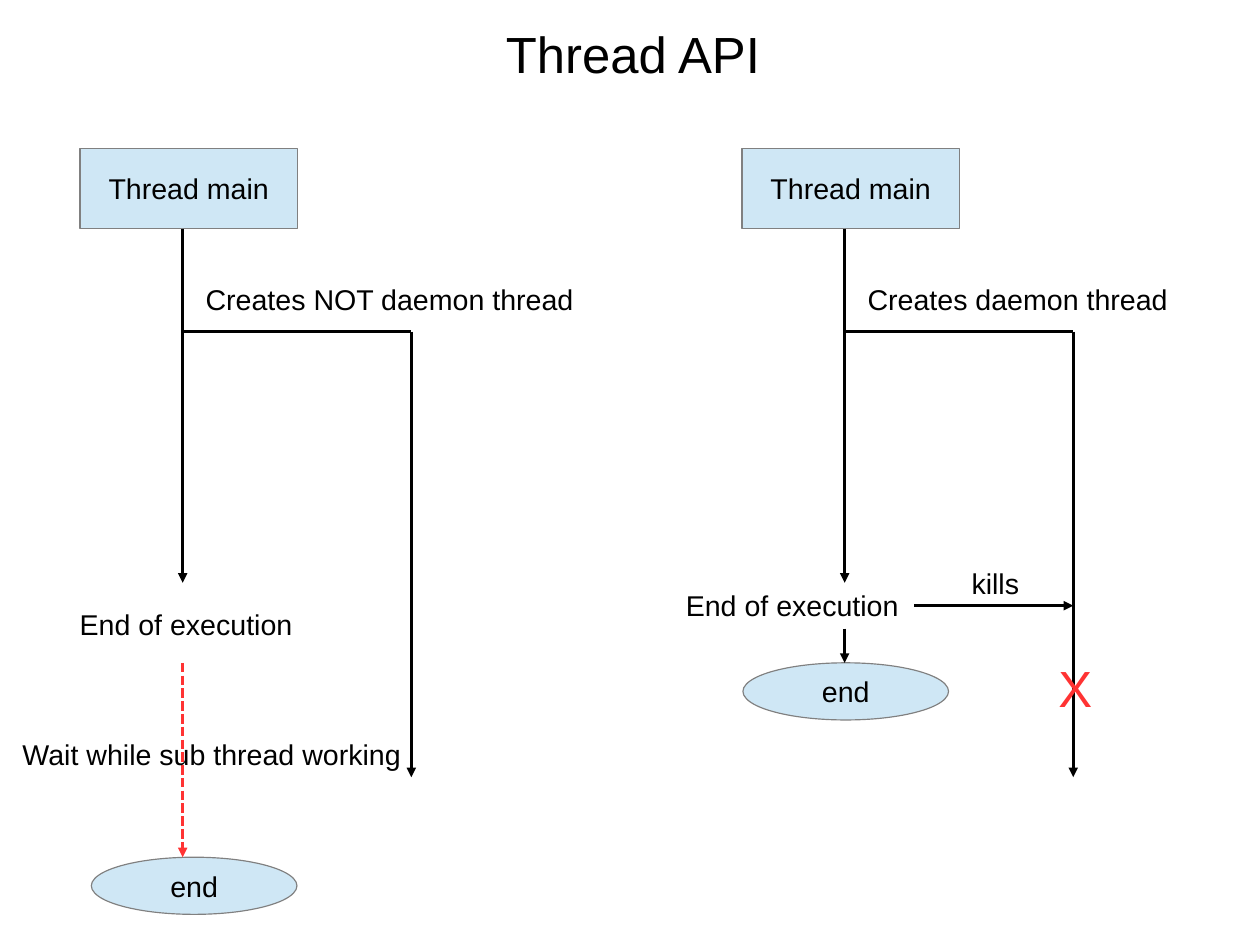
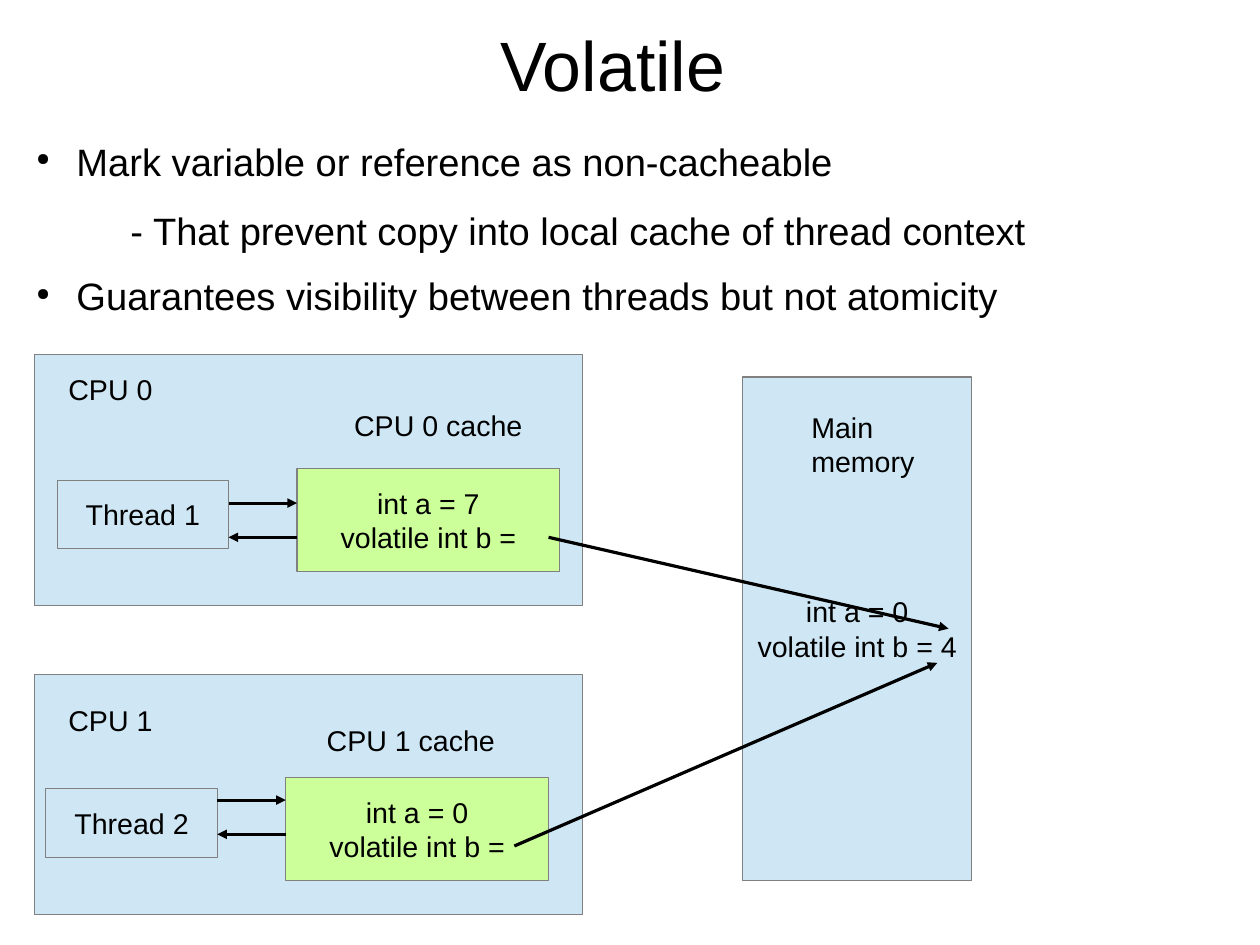
from dataclasses import dataclass

from lxml.etree import SubElement as Sub
from pptx import Presentation as Deck
from pptx.dml.color import RGBColor as RGB
from pptx.enum.dml import MSO_LINE as Dash
from pptx.enum.shapes import MSO_CONNECTOR as Conn, MSO_SHAPE as Kind
from pptx.enum.text import MSO_ANCHOR as Anchor, PP_ALIGN as Align
from pptx.oxml.ns import qn
from pptx.util import Cm, Pt


@dataclass(frozen=True)
class Theme:
    face: str = "Arial"
    ink: RGB = RGB(0x00, 0x00, 0x00)
    edge: RGB = RGB(0x80, 0x80, 0x80)
    blue: RGB = RGB(0xCF, 0xE7, 0xF5)
    green: RGB = RGB(0xCC, 0xFF, 0x99)
    red: RGB = RGB(0xFF, 0x33, 0x33)
    text: int = 18
    list: int = 24
    head: int = 32
    big: int = 44


T = Theme()


# Text
def style(para, size, color=T.ink):
    font = para.font
    font.name, font.size, font.color.rgb = T.face, Pt(size), color


def write(frame, text, size=T.text, color=T.ink, align=Align.LEFT):
    frame.word_wrap = True
    frame.text = text
    for para in frame.paragraphs:
        para.alignment = align
        style(para, size, color)


def label(slide, x, y, wide, text, size=T.text, color=T.ink, high=0.97):
    box = slide.shapes.add_textbox(Cm(x), Cm(y), Cm(wide), Cm(high))
    write(box.text_frame, text, size, color)
    return box.text_frame


def strip(frame):
    frame.margin_left = frame.margin_right = 0
    frame.margin_top = frame.margin_bottom = 0


def title(slide, x, y, text, size):
    frame = label(slide, x, y, 25.2, text, size, high=1.7)
    strip(frame)
    frame.vertical_anchor = Anchor.MIDDLE
    frame.paragraphs[0].alignment = Align.CENTER


def points(slide, x, y, wide, high, items):
    frame = label(slide, x, y, wide, "\n".join(t for t, _ in items),
                  T.list, high=high)
    strip(frame)
    for para, (_, level) in zip(frame.paragraphs, items):
        para.level = level
        para.space_after = Pt(12 if level else 15)
        prop = para._p.get_or_add_pPr()
        prop.set("marL", str(Cm(2.39 if level else 1.19)))
        prop.set("indent", str(Cm(0 if level else -0.89)))
        if not level:
            bullet(prop)


def bullet(prop):
    font = prop.find(qn("a:defRPr"))
    tint = Sub(prop, qn("a:buClr"))
    Sub(tint, qn("a:srgbClr"), val=str(T.ink))
    Sub(prop, qn("a:buSzPct"), val="45000")
    Sub(prop, qn("a:buChar"), char="●")
    if font is not None:
        prop.append(font)  # the schema puts the font after the bullet


# Shapes and lines
def block(slide, x, y, wide, high, text="", fill=T.blue, kind=Kind.RECTANGLE):
    shape = slide.shapes.add_shape(kind, Cm(x), Cm(y), Cm(wide), Cm(high))
    shape.shadow.inherit = False
    shape.fill.solid()
    shape.fill.fore_color.rgb = fill
    shape.line.color.rgb = T.edge
    shape.line.width = 0
    if text:
        write(shape.text_frame, text, align=Align.CENTER)
        shape.text_frame.vertical_anchor = Anchor.MIDDLE


def line(slide, x1, y1, x2, y2, color=T.ink, head=True, dash=None):
    link = slide.shapes.add_connector(
        Conn.STRAIGHT, Cm(x1), Cm(y1), Cm(x2), Cm(y2))
    link.line.color.rgb = color
    link.line.width = 0
    if dash:
        link.line.dash_style = dash
    if head:
        Sub(link.line._get_or_add_ln(), qn("a:tailEnd"), type="triangle")
    Sub(link._element.spPr, qn("a:effectLst"))


# Parts of the thread slide
def flow(slide, x, note, end_y):
    """Main thread at x, with the thread that it starts."""
    side = x + 5.08
    block(slide, x - 2.28, 3.3, 4.83, 1.78, "Thread main")
    line(slide, x, 5.08, x, 12.95)
    line(slide, x, 7.37, side, 7.37, head=False)
    line(slide, side, 7.37, side, 17.27)
    label(slide, x + 0.26, 6.15, 9, note)
    block(slide, x - 2.03 if end_y > 18 else x - 2.26, end_y, 4.57, 1.27,
          "end", kind=Kind.OVAL)


def threads(slide):
    title(slide, 1.47, 0.33, "Thread API", T.head)
    left, right = 4.06, 18.77

    # Program waits for the thread
    flow(slide, left, "Creates NOT daemon thread", 19.05)
    label(slide, 1.52, 13.36, 5.8, "End of execution")
    line(slide, left, 14.73, left, 19.05, T.red, dash=Dash.SQUARE_DOT)
    label(slide, 0.25, 16.26, 9.2, "Wait while sub thread working")

    # Program kills the thread
    flow(slide, right, "Creates daemon thread", 14.73)
    label(slide, 14.99, 12.95, 5.8, "End of execution")
    line(slide, 20.32, 13.46, right + 5.08, 13.46)
    label(slide, 21.34, 12.45, 1.8, "kills")
    label(slide, 23.27, 14.48, 1.68, "X", T.head, T.red, high=1.52)
    line(slide, right, 13.97, right, 14.73)


# Parts of the memory slide
def panel(slide, name, y, high, tag, cache, thread, at, value, row):
    """One CPU: its thread, its cache and the arrows between them."""
    block(slide, 0.76, y, 12.19, high)
    label(slide, *tag, 3, name)
    label(slide, *cache, 4.6, f"{name} cache")
    x, top = at
    near, far = x + 3.81, x + 5.33
    block(slide, x, top, 3.81, 1.52, thread)
    block(slide, far, top - 0.25, 5.84, 2.29,
          f"int a = {value}\nvolatile int b =", T.green)
    line(slide, near, row, far, row)
    line(slide, far, row + 0.76, near, row + 0.76)


def memory(slide):
    title(slide, 1.02, 0.56, "Volatile", T.big)
    points(slide, 0.51, 3.07, 25.2, 4.5, [
        ("Mark variable or reference as non-cacheable", 0),
        ("- That prevent copy into local cache of thread context", 1),
        ("Guarantees visibility between threads but not atomicity", 0),
    ])
    panel(slide, "CPU 0", 7.87, 5.59, (1.27, 8.13), (7.62, 8.94),
          "Thread 1", (1.27, 10.67), 7, 11.18)
    panel(slide, "CPU 1", 14.99, 5.33, (1.27, 15.49), (7.01, 15.93),
          "Thread 2", (1.02, 17.53), 0, 17.78)

    # Main memory and the writes to it
    block(slide, 16.51, 8.38, 5.08, 11.18, "int a = 0\nvolatile int b = 4")
    label(slide, 17.78, 8.99, 3, "Main\nmemory", high=1.68)
    line(slide, 12.19, 11.94, 21.08, 13.97)
    line(slide, 11.43, 18.8, 20.83, 14.73)


def main():
    deck = Deck()
    deck.slide_width, deck.slide_height = Cm(28), Cm(21)
    for draw in (threads, memory):
        draw(deck.slides.add_slide(deck.slide_layouts[6]))
    deck.save("out.pptx")


if __name__ == "__main__":
    main()
